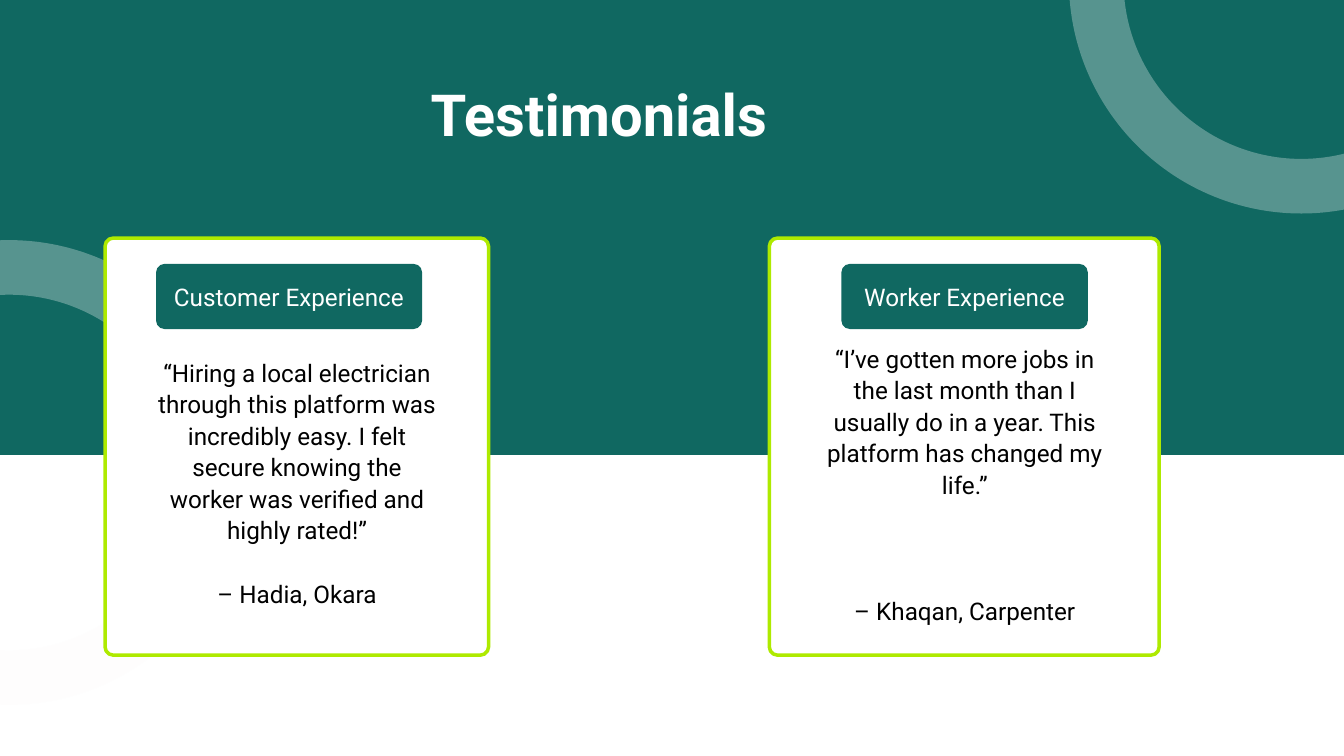
from lxml import etree
from pptx import Presentation
from pptx import util as u
from pptx.dml.color import RGBColor
from pptx.enum import shapes, text
from pptx.oxml.ns import qn

PX = 9525  # EMU per px: the slide is 1920 x 1080 px
COLORS = {"green": "106861", "lime": "AEEA00", "ring": "FDFBFB",
          "white": "FFFFFF", "black": "000000"}
FONT = "Roboto"
RADIUS = 12
RING_SIZE = 586
CARD_TOP, CARD_HEIGHT = 340, 596
LABEL_TOP, LABEL_HEIGHT = 377, 93
QUOTE_HEIGHT = 409
QUOTE_LEADING = 33.8

# x and width of card, label and quote, with the blank lines above the author
TESTIMONIALS = [
    {"card": (150, 548), "label": (223, 380), "quote": (223, 403),
     "quote_top": 508, "gap_lines": 1,
     "heading": "Customer Experience",
     "words": "“Hiring a local electrician through this platform was incredibly "
              "easy. I felt secure knowing the worker was verified and highly rated!”",
     "author": "– Hadia, Okara"},
    {"card": (1099, 557), "label": (1202, 352), "quote": (1173, 411),
     "quote_top": 488, "gap_lines": 3,
     "heading": "Worker Experience",
     "words": "“I’ve gotten more jobs in the last month than I usually do "
              "in a year. This platform has changed my life.”",
     "author": "– Khaqan, Carpenter"},
]


def color(name):
    return RGBColor.from_string(COLORS[name])


def write(paragraph, words, size=26, ink="black", bold=False, leading=QUOTE_LEADING,
          before=0, align=text.PP_ALIGN.CENTER):
    paragraph.text = words
    paragraph.alignment = align
    paragraph.line_spacing = u.Pt(leading)
    paragraph.space_before = u.Pt(before)
    font = paragraph.runs[0].font
    font.name, font.size, font.bold = FONT, u.Pt(size), bold
    font.color.rgb = color(ink)


class Deck:
    def __init__(self, width, height):
        self.file = Presentation()
        self.file.slide_width, self.file.slide_height = width * PX, height * PX
        self.slide = self.file.slides.add_slide(self.file.slide_layouts[6])

    def shape(self, kind, x, y, w, h, fill=None, line=None, weight=0):
        item = self.slide.shapes.add_shape(kind, x * PX, y * PX, w * PX, h * PX)
        item.shadow.inherit = False
        if fill:
            item.fill.solid()
            item.fill.fore_color.rgb = color(fill)
        else:
            item.fill.background()
        if line:
            item.line.color.rgb = color(line)
            item.line.width = u.Pt(weight)
        else:
            item.line.fill.background()
        return item

    def panel(self, x, y, w, h, **style):
        """Rounded rectangle whose corner radius does not depend on its size."""
        item = self.shape(shapes.MSO_SHAPE.ROUNDED_RECTANGLE, x, y, w, h, **style)
        item.adjustments[0] = RADIUS / min(w, h)
        return item

    def ring(self, x, y):
        """Circle with a thick outline at 30 % opacity."""
        item = self.shape(shapes.MSO_SHAPE.OVAL, x, y, RING_SIZE, RING_SIZE,
                          line="ring", weight=58.5)
        outline = item.element.spPr.find(qn("a:ln"))
        tint = next(outline.iter(qn("a:srgbClr")))
        etree.SubElement(tint, qn("a:alpha")).set("val", "30000")

    def frame(self, item, bottom=0):
        frame = item.text_frame
        frame.word_wrap = True
        frame.margin_left = frame.margin_right = frame.margin_top = 0
        frame.margin_bottom = bottom * PX
        return frame

    def textbox(self, x, y, w, h):
        return self.frame(self.slide.shapes.add_textbox(x * PX, y * PX, w * PX, h * PX))

    def label(self, x, w, words):
        item = self.panel(x, LABEL_TOP, w, LABEL_HEIGHT, fill="green")
        frame = self.frame(item, bottom=5)
        frame.vertical_anchor = text.MSO_ANCHOR.MIDDLE
        write(frame.paragraphs[0], words, ink="white", leading=35.9)

    def testimonial(self, entry):
        x, w = entry["card"]
        self.panel(x, CARD_TOP, w, CARD_HEIGHT, fill="white", line="lime", weight=3.75)
        self.label(*entry["label"], entry["heading"])
        x, w = entry["quote"]
        frame = self.textbox(x, entry["quote_top"], w, QUOTE_HEIGHT)
        write(frame.paragraphs[0], entry["words"])
        write(frame.add_paragraph(), entry["author"],
              before=entry["gap_lines"] * QUOTE_LEADING)


def main():
    deck = Deck(1920, 1080)
    deck.shape(shapes.MSO_SHAPE.RECTANGLE, -33, -23, 1953, 673, fill="green")
    deck.ring(-280, 382)
    deck.ring(1566, -320)
    title = deck.textbox(615, 97, 1115, 110)
    write(title.paragraphs[0], "Testimonials", size=62.1, ink="white", bold=True,
          leading=85.6, align=text.PP_ALIGN.LEFT)
    for entry in TESTIMONIALS:
        deck.testimonial(entry)
    deck.file.save("out.pptx")


if __name__ == "__main__":
    main()
